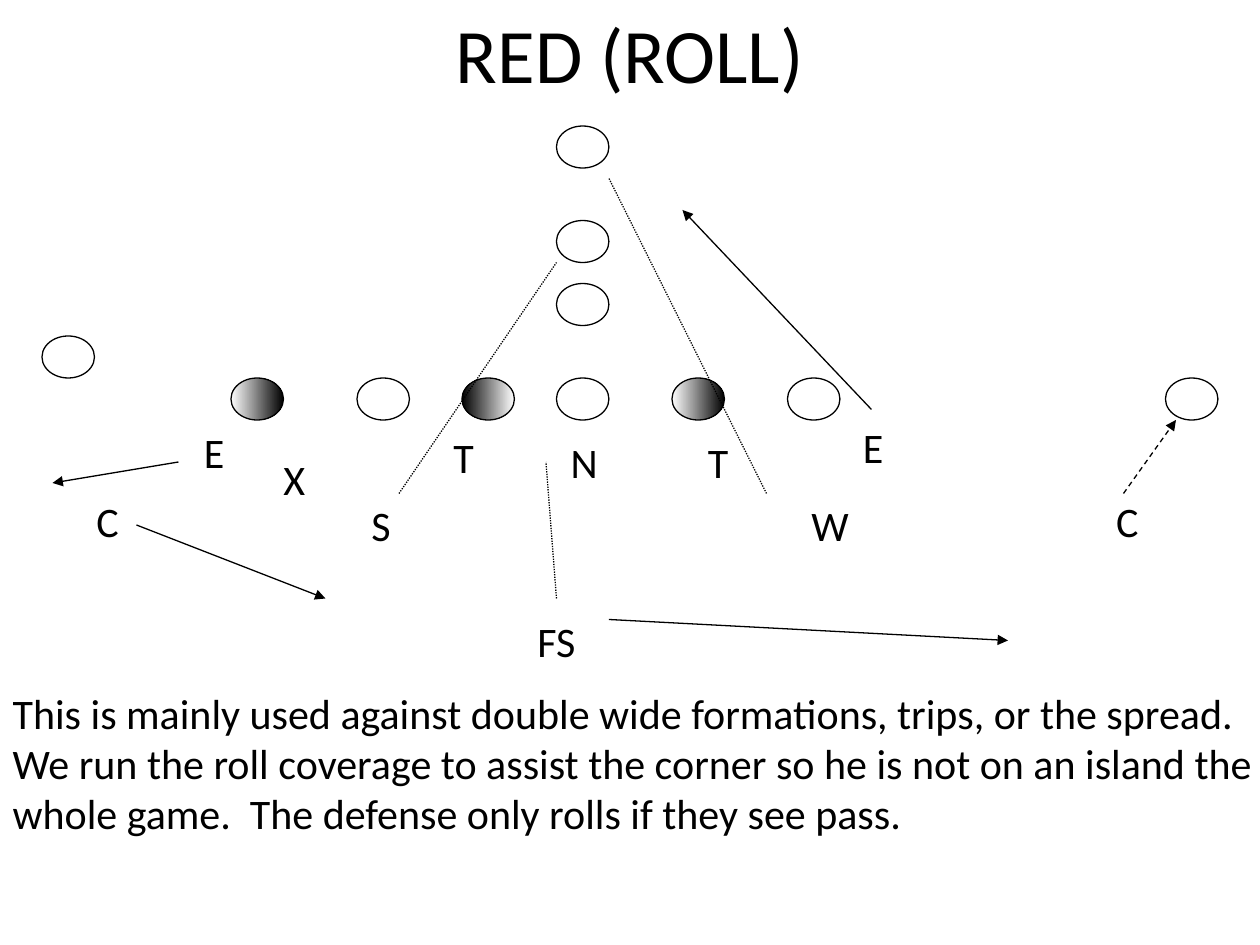
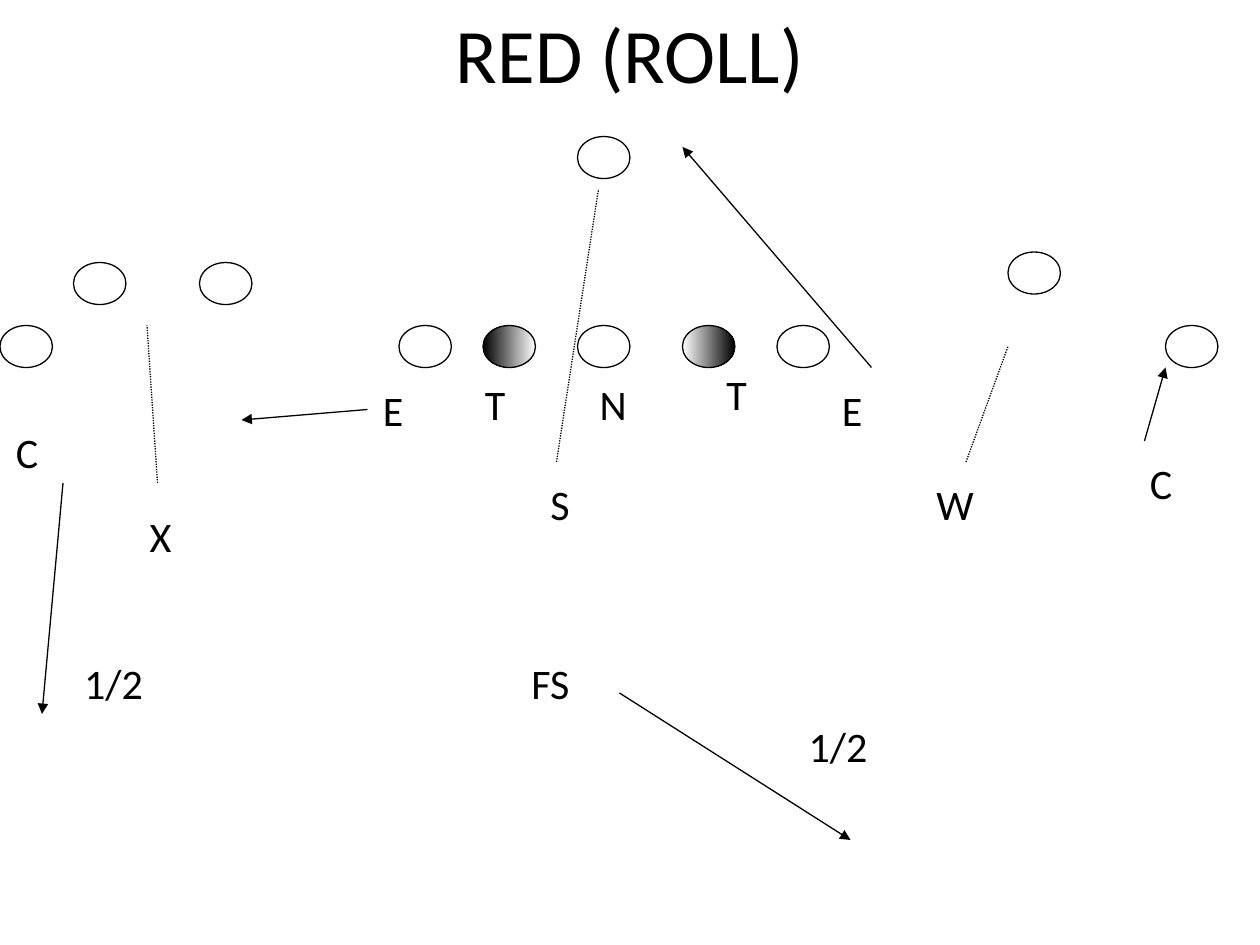
"""Build two slides of football coverage diagrams."""
from lxml import etree
from pptx import Presentation, util as u
from pptx.dml import color
from pptx.enum import dml, shapes, text
from pptx.oxml import ns

Pt = u.Pt
INK, PAPER = "000000", "FFFFFF"
FONT = "Calibri"
WIDE, HIGH = 30, 24
WIDTHS = {"C": 27.4, "E": 26, "T": 26, "N": 29.5, "X": 26.6,
          "S": 25, "W": 35, "FS": 36, "1/2": 47.5}
FILLS = {"open": [PAPER], "right": [PAPER, INK], "left": [INK, PAPER]}
DASHES = {"dash": dml.MSO_LINE.DASH, "blitz": dml.MSO_LINE.ROUND_DOT}

PLAYS = [
    {
        "layout": 1,
        "note": "This is mainly used against double wide formations, trips, or the spread.  "
                "We run the roll coverage to assist the corner so he is not on an island the "
                "whole game.  The defense only rolls if they see pass.",
        "balls": [(318, 216, "open"), (384, 216, "right"), (450, 216, "open"),
                  (264, 216, "left"), (204, 216, "open"), (132, 216, "right"),
                  (24, 192, "open"), (666, 216, "open"), (318, 162, "open"),
                  (318, 126, "open"), (318, 72, "open")],
        "marks": [("C", 48, 279.4), ("C", 630.7, 279.4), ("FS", 300, 348),
                  ("N", 319, 246), ("E", 109.4, 240), ("T", 252, 243),
                  ("T", 397.4, 246), ("E", 486, 237.6), ("X", 154.8, 255.6),
                  ("S", 205.2, 282), ("W", 456.5, 282)],
        "moves": [(642, 282, 672, 240, "dash"), (318, 342, 312, 264, "blitz"),
                  (78, 300, 186, 342, "run"), (348, 354, 576, 366, "run"),
                  (102, 264, 30, 276, "run"), (498, 234, 390, 120, "run"),
                  (228, 282, 318, 150, "blitz"), (438, 282, 348, 102, "blitz")],
    },
    {
        "layout": 5,
        "note": None,
        "balls": [(42, 150, "open"), (666, 186, "open"), (330, 78, "open"),
                  (330, 186, "open"), (390, 186, "right"), (444, 186, "open"),
                  (0, 186, "open"), (276, 186, "left"), (228, 186, "open"),
                  (114, 150, "open"), (576, 144, "open")],
        "marks": [("N", 335.5, 213), ("T", 270, 213), ("T", 408, 207),
                  ("W", 528, 270), ("E", 474, 216), ("X", 78.5, 288),
                  ("S", 307.4, 270), ("FS", 296.6, 372), ("C", 650, 258),
                  ("E", 211.7, 216), ("C", 2, 240), ("1/2", 41, 372),
                  ("1/2", 455, 408)],
        "moves": [(654, 252, 666, 210, "run"), (210, 234, 138, 240, "run"),
                  (498, 210, 390, 84, "run"), (552, 264, 576, 198, "blitz"),
                  (36, 276, 24, 408, "run"), (90, 276, 84, 186, "blitz"),
                  (354, 396, 486, 480, "run"), (318, 264, 342, 108, "blitz")],
    },
]


def tint(part, shade):
    part.rgb = color.RGBColor.from_string(shade)


def style(shape, words, size):
    frame = shape.text_frame
    frame.text = words
    frame.auto_size = text.MSO_AUTO_SIZE.NONE
    for run in frame.paragraphs[0].runs:
        run.font.name = FONT
        run.font.size = Pt(size)
        tint(run.font.color, INK)
    return frame


deck = Presentation()
deck.slide_width, deck.slide_height = Pt(720), Pt(540)

for play in PLAYS:
    slide = deck.slides.add_slide(deck.slide_layouts[play["layout"]])
    title = slide.shapes.title
    title.left, title.top, title.width, title.height = Pt(54), Pt(0), Pt(612), Pt(60)
    style(title, "RED (ROLL)", 44)

    if play["note"]:
        body = slide.placeholders[1]
        body.left, body.top, body.width, body.height = Pt(0), Pt(389), Pt(729), Pt(122)
        para = style(body, play["note"], 24).paragraphs[0]
        para.space_before = Pt(0)
        props = para._p.get_or_add_pPr()
        props.set("marL", "0")
        props.set("indent", "0")
        etree.SubElement(props, ns.qn("a:buNone"))

    for left, top, kind in play["balls"]:
        ball = slide.shapes.add_shape(shapes.MSO_SHAPE.OVAL, Pt(left), Pt(top), Pt(WIDE), Pt(HIGH))
        ball.shadow.inherit = False
        shades = FILLS[kind]
        if len(shades) == 1:
            ball.fill.solid()
            tint(ball.fill.fore_color, shades[0])
        else:
            ball.fill.gradient()
            ball.fill.gradient_angle = 0
            for stop, shade in zip(ball.fill.gradient_stops, shades):
                tint(stop.color, shade)
        tint(ball.line.color, INK)
        ball.line.width = Pt(0.75)

    for name, left, top in play["marks"]:
        mark = slide.shapes.add_textbox(Pt(left), Pt(top), Pt(WIDTHS[name]), Pt(36))
        style(mark, name, 24).word_wrap = False

    for x1, y1, x2, y2, kind in play["moves"]:
        move = slide.shapes.add_connector(
            shapes.MSO_CONNECTOR.STRAIGHT, Pt(x1), Pt(y1), Pt(x2), Pt(y2))
        tint(move.line.color, INK)
        move.line.width = Pt(0.75)
        if kind in DASHES:
            move.line.dash_style = DASHES[kind]
        props = move._element.spPr
        if kind != "blitz":
            etree.SubElement(props.find(ns.qn("a:ln")), ns.qn("a:tailEnd"), type="triangle")
        etree.SubElement(props, ns.qn("a:effectLst"))

deck.save("out.pptx")
